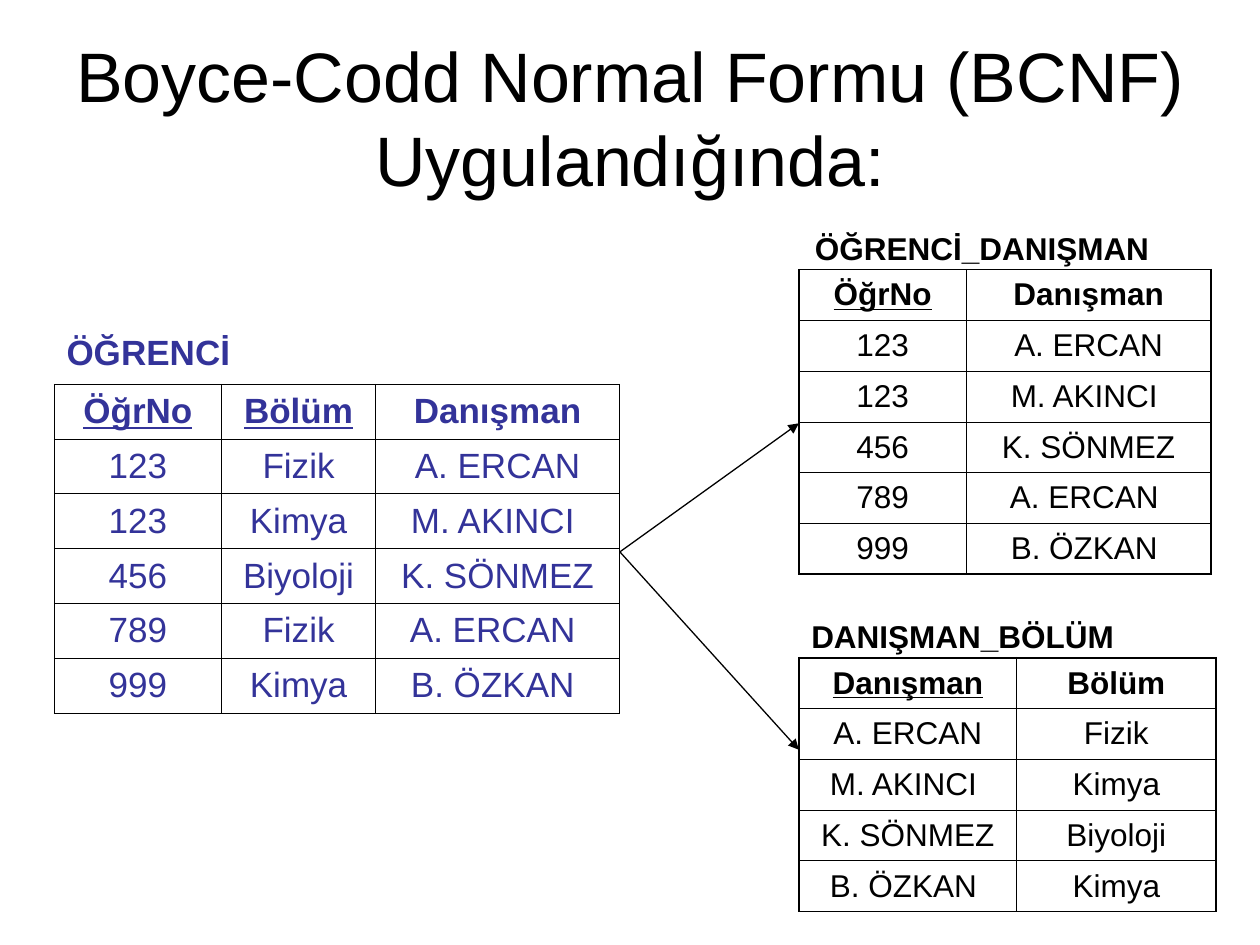
from lxml.etree import SubElement
from pptx import Presentation
from pptx.dml.color import RGBColor
from pptx.enum.shapes import MSO_CONNECTOR
from pptx.enum.text import MSO_ANCHOR, PP_ALIGN
from pptx.oxml.ns import qn
from pptx.util import Inches, Pt

# Content: the first relation is decomposed into the other two
TITLE = "Boyce-Codd Normal Formu (BCNF) Uygulandığında:"
STUDENT = [
    ("ÖğrNo", "Bölüm", "Danışman"),
    ("123", "Fizik", "A. ERCAN"),
    ("123", "Kimya", "M. AKINCI "),
    ("456", "Biyoloji", "K. SÖNMEZ"),
    ("789", "Fizik", "A. ERCAN "),
    ("999", "Kimya", "B. ÖZKAN "),
]
STUDENT_ADVISOR = [(number, advisor) for number, _, advisor in STUDENT]
ADVISOR_DEPARTMENT = [
    ("Danışman", "Bölüm"),
    ("A. ERCAN", "Fizik"),
    ("M. AKINCI ", "Kimya"),
    ("K. SÖNMEZ", "Biyoloji"),
    ("B. ÖZKAN ", "Kimya"),
]

# Theme
THEME = {
    "font": "Arial", "black": "000000", "indigo": "333399",
    "title": 40, "large": 20, "small": 18,
    "thin": 0.45, "thick": 1.08, "arrow": 0.75,
}

# Layout: a grid of 100 columns by 75 rows, each a tenth of an inch
GRID = Inches(0.1)
TITLE_AREA = (5, 3, 90, 12.5)
RELATIONS = [
    {"name": "ÖĞRENCİ", "label": (4.3, 25.7, 24.4, 4.4), "corner": (4.3, 30.5),
     "columns": (13.3, 12.2, 19.4), "row": 4.35, "rows": STUDENT, "keys": 2,
     "size": "large", "color": "indigo", "frame": "thin"},
    {"name": "ÖĞRENCİ_DANIŞMAN", "label": (63.7, 17.7, 32.3, 4), "corner": (63.4, 21.4),
     "columns": (13.3, 19.4), "row": 4.03, "rows": STUDENT_ADVISOR, "keys": 1,
     "size": "small", "color": "black", "frame": "thick"},
    {"name": "DANIŞMAN_BÖLÜM", "label": (63.4, 48.5, 31.5, 4), "corner": (63.4, 52.2),
     "columns": (17.3, 15.8), "row": 4.03, "rows": ADVISOR_DEPARTMENT, "keys": 1,
     "size": "small", "color": "black", "frame": "thick"},
]
ARROW_START = (49.2, 43.8)
ARROW_ENDS = [(63.4, 33.6), (63.4, 59.5)]


def grid(lengths):
    return [round(length * GRID) for length in lengths]


def write(frame, text, size, color, align=PP_ALIGN.LEFT, **styles):
    para = frame.paragraphs[0]
    para.alignment = align
    span = para.add_run()
    span.text = text
    styles.update(name=THEME["font"], size=Pt(THEME[size]))
    for name, value in styles.items():
        setattr(span.font, name, value)
    span.font.color.rgb = RGBColor.from_string(THEME[color])


def add_borders(cell, widths):
    properties = cell._tc.get_or_add_tcPr()
    for position, (side, width) in enumerate(widths.items()):
        line = properties.makeelement(qn(f"a:{side}"), {"w": str(Pt(THEME[width]))})
        fill = SubElement(line, qn("a:solidFill"))
        SubElement(fill, qn("a:srgbClr"), val=THEME["black"])
        properties.insert(position, line)


def add_relation(page, relation):
    rows, columns, frame = relation["rows"], relation["columns"], relation["frame"]
    look = {"size": relation["size"], "color": relation["color"]}

    # Name above the table
    box = page.shapes.add_textbox(*grid(relation["label"]))
    box.text_frame.word_wrap = True
    write(box.text_frame, relation["name"], bold=True, **look)

    # Table with underlined key columns
    extent = (sum(columns), relation["row"] * len(rows))
    table = page.shapes.add_table(
        len(rows), len(columns), *grid(relation["corner"] + extent)).table
    table.first_row = table.horz_banding = False
    for column, width in zip(table.columns, grid(columns)):
        column.width = width
    for r, values in enumerate(rows):
        for c, value in enumerate(values):
            cell = table.cell(r, c)
            cell.vertical_anchor = MSO_ANCHOR.MIDDLE
            cell.fill.background()
            header = r == 0
            write(cell.text_frame, value, align=PP_ALIGN.CENTER, bold=header,
                  underline=header and c < relation["keys"], **look)
            edges = {"lnL": c == 0, "lnR": c == len(columns) - 1,
                     "lnT": r == 0, "lnB": r == len(rows) - 1}
            add_borders(cell, {side: frame if outer else "thin"
                               for side, outer in edges.items()})


def add_arrow(page, start, end):
    arrow = page.shapes.add_connector(MSO_CONNECTOR.STRAIGHT, *grid(start + end))
    arrow.line.color.rgb = RGBColor.from_string(THEME["black"])
    arrow.line.width = Pt(THEME["arrow"])
    SubElement(arrow.line._get_or_add_ln(), qn("a:tailEnd"), type="triangle")
    SubElement(arrow._element.spPr, qn("a:effectLst"))


def main():
    deck = Presentation()
    deck.slide_width, deck.slide_height = grid((100, 75))
    page = deck.slides.add_slide(deck.slide_layouts[5])

    # Title
    title = page.shapes.title
    title.left, title.top, title.width, title.height = grid(TITLE_AREA)
    frame = title.text_frame
    frame.word_wrap = True
    frame.vertical_anchor = MSO_ANCHOR.MIDDLE
    frame.margin_left = frame.margin_right = Inches(0.05)
    write(frame, TITLE, "title", "black", PP_ALIGN.CENTER)

    # Relations and the arrows from the first to the others
    for relation in RELATIONS:
        add_relation(page, relation)
    for end in ARROW_ENDS:
        add_arrow(page, ARROW_START, end)

    deck.save("out.pptx")


if __name__ == "__main__":
    main()
